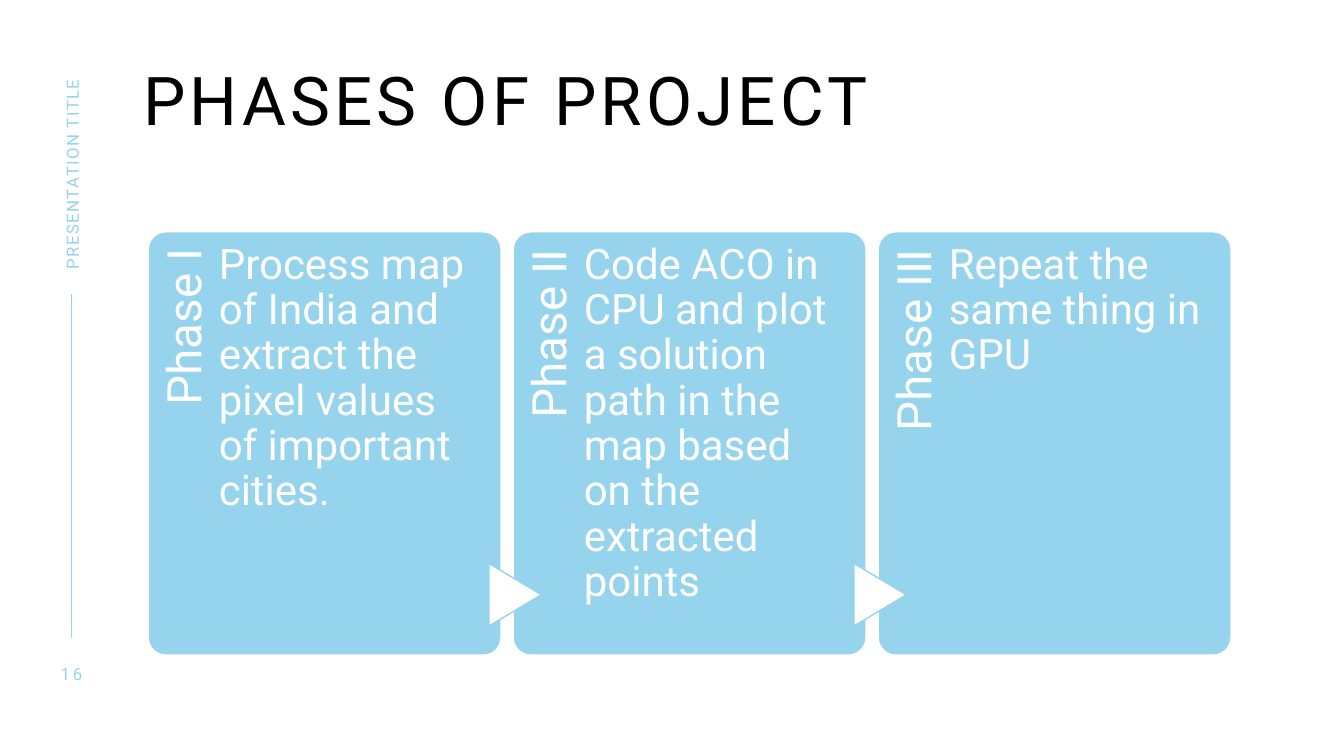
from pptx import Presentation
from pptx.dml.color import RGBColor
from pptx.enum.shapes import MSO_CONNECTOR, MSO_SHAPE
from pptx.enum.text import MSO_ANCHOR, MSO_AUTO_SIZE, PP_ALIGN
from pptx.oxml.ns import qn
from pptx.util import Emu, Pt
from lxml import etree

LEFT, CENTER, RIGHT = PP_ALIGN.LEFT, PP_ALIGN.CENTER, PP_ALIGN.RIGHT
TOP, MIDDLE = MSO_ANCHOR.TOP, MSO_ANCHOR.MIDDLE
NO_AUTOFIT = MSO_AUTO_SIZE.NONE
ROUNDED, TRIANGLE = MSO_SHAPE.ROUNDED_RECTANGLE, MSO_SHAPE.FLOWCHART_EXTRACT
STRAIGHT = MSO_CONNECTOR.STRAIGHT

EMU_PER_PX = 9144  # 100 px to the inch
FONT = "Roboto"
COLORS = {"sky": "96D3ED", "white": "FFFFFF", "black": "000000"}
TITLE_ONLY = 5

PHASES = [
    ("Phase I", "Process map of India and extract the pixel values of important cities."),
    ("Phase II", "Code ACO in CPU and plot a solution path in the map based on "
                 "the extracted points"),
    ("Phase III", "Repeat the same thing in GPU"),
]


def px(length):
    return Emu(round(length * EMU_PER_PX))


def rgb(name):
    return RGBColor.from_string(COLORS[name])


def turned_box(x, y, w, h):
    """Unrotated box that covers (x, y, w, h) after a quarter turn."""
    return x + (w - h) / 2, y + (h - w) / 2, h, w


def write(frame, text, size, color, align=LEFT, anchor=TOP, insets=(0, 0, 0, 0),
          line_spacing=None, tracking=0):
    frame.word_wrap = True
    frame.auto_size = NO_AUTOFIT
    frame.vertical_anchor = anchor
    (frame.margin_left, frame.margin_top,
     frame.margin_right, frame.margin_bottom) = map(px, insets)
    paragraph = frame.paragraphs[0]
    paragraph.alignment = align
    paragraph.line_spacing = line_spacing
    run = paragraph.add_run()
    run.text = text
    run.font.name = FONT
    run.font.size = Pt(size)
    run.font.color.rgb = rgb(color)
    if tracking:
        run.font._element.set("spc", str(tracking * 100))


def add_text(slide, box, text, size, color, rotation=0, **style):
    textbox = slide.shapes.add_textbox(*map(px, box))
    textbox.rotation = rotation
    write(textbox.text_frame, text, size, color, **style)


def add_outlined(slide, preset, box, fill, line):
    shape = slide.shapes.add_shape(preset, *map(px, box))
    shape.shadow.inherit = False
    shape.fill.solid()
    shape.fill.fore_color.rgb = rgb(fill)
    shape.line.color.rgb = rgb(line)
    shape.line.width = Pt(1)
    return shape


def add_sidebar(slide, x, y, w, h):
    middle = x + w / 2
    rule = slide.shapes.add_connector(
        STRAIGHT, px(middle), px(y + 220), px(middle), px(y + 561))
    rule.line.color.rgb = rgb("sky")
    rule.line.width = Pt(1)
    etree.SubElement(rule._element.spPr, qn("a:effectLst"))
    add_text(slide, (x, y + h - 20, w, 20), "16", 12, "sky",
             align=CENTER, anchor=MIDDLE, tracking=2)
    add_text(slide, turned_box(middle - 10, y, 21, 195), "PRESENTATION TITLE", 12,
             "sky", rotation=270, anchor=MIDDLE, tracking=1)


def add_title(slide, x, y, w, h):
    title = slide.shapes.title
    title.left, title.top, title.width, title.height = map(px, (x, y, w, h))
    write(title.text_frame, "PHASES OF PROJECT", 48, "black",
          line_spacing=0.9, tracking=3)


def add_phase(slide, x, y, w, h, label, description, follows):
    card = add_outlined(slide, ROUNDED, (x, y, w, h), "sky", "white")
    card.adjustments[0] = 0.05
    add_text(slide, turned_box(x - 1, y, 70, 344), label, 34, "white", rotation=270,
             align=RIGHT, insets=(0, 13, 17, 0), line_spacing=0.9)
    if follows:
        arrow = add_outlined(slide, TRIANGLE, turned_box(x - 24, y + 329, 52, 62),
                             "white", "sky")
        arrow.rotation = 90
    add_text(slide, (x + 70, y, 261, h), description, 30, "white",
             insets=(0, 11, 0, 0), line_spacing=0.9)


def add_phases(slide, x, y, w, h, gap=12):
    card_width = (w - gap * (len(PHASES) - 1)) / len(PHASES)
    for index, (label, description) in enumerate(PHASES):
        add_phase(slide, x + index * (card_width + gap), y, card_width, h,
                  label, description, follows=index > 0)


def main():
    deck = Presentation()
    deck.slide_width, deck.slide_height = px(1333), px(750)
    slide = deck.slides.add_slide(deck.slide_layouts[TITLE_ONLY])
    add_sidebar(slide, 46, 72, 50, 606)
    add_title(slide, 142, 67, 1100, 100)
    add_phases(slide, 147, 230, 1074, 420)
    deck.save("out.pptx")


if __name__ == "__main__":
    main()
